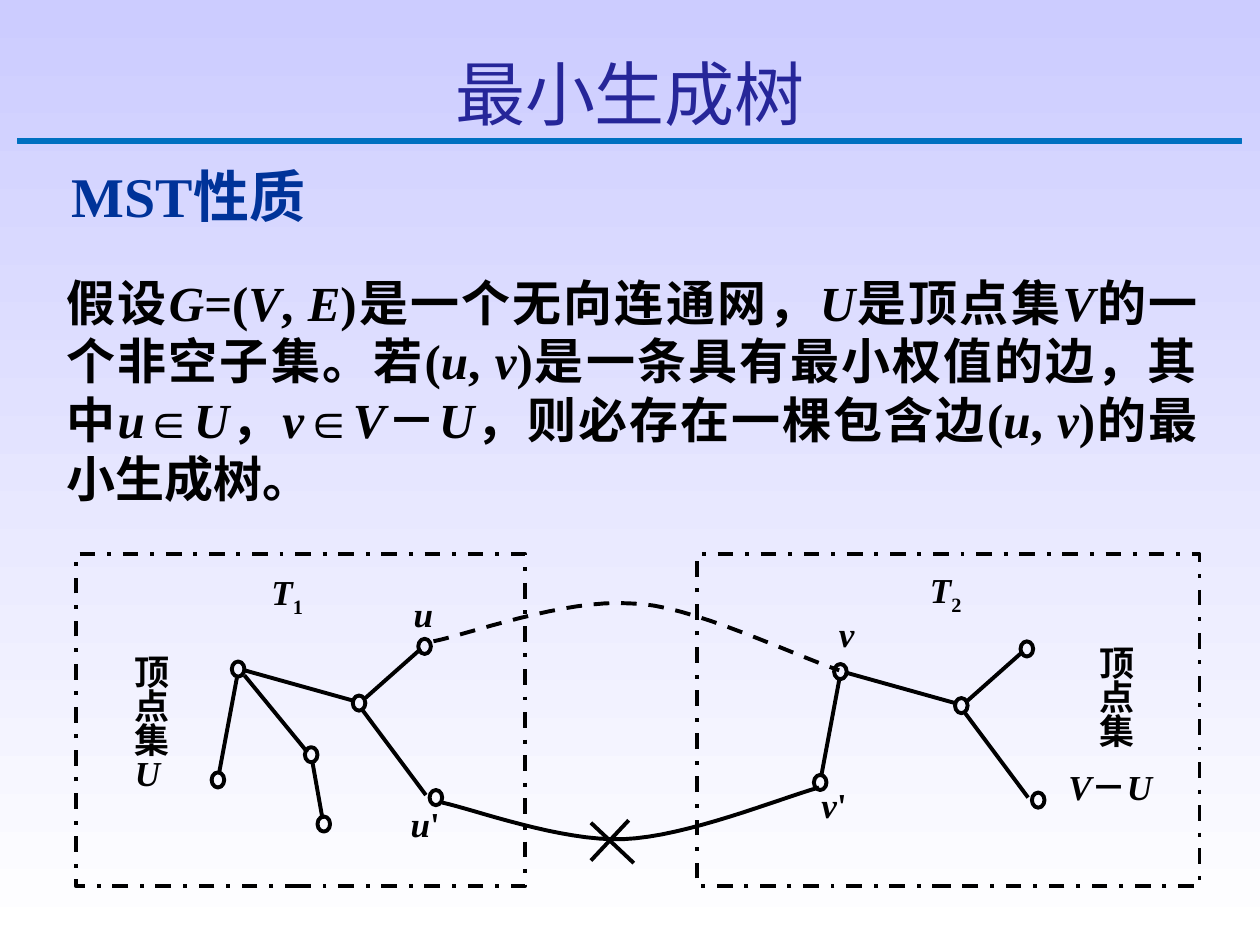
from dataclasses import dataclass, field

from lxml import etree
from pptx import Presentation
from pptx.dml.color import RGBColor
from pptx.enum import dml, shapes, text
from pptx.oxml import ns
from pptx.util import Inches, Pt

BLACK = RGBColor(0x00, 0x00, 0x00)
WHITE = RGBColor(0xFF, 0xFF, 0xFF)
LAVENDER = RGBColor(0xCC, 0xCC, 0xFF)
RULE_BLUE = RGBColor(0x00, 0x70, 0xC0)
HEADING_BLUE = RGBColor(0x00, 0x33, 0x99)
TITLE_BLUE = RGBColor(0x26, 0x26, 0x99)

SERIF, CJK = "Times New Roman", "Noto Sans CJK SC"
LEFT, CENTER, JUSTIFY = (text.PP_ALIGN.LEFT, text.PP_ALIGN.CENTER,
                         text.PP_ALIGN.JUSTIFY)
NODE_W, NODE_H = 0.1, 0.12
TREE_DX, TREE_DY = 4.78, 0.02  # shift from tree T1 to tree T2

Point = tuple[float, float]
Box = tuple[float, float, float, float]


@dataclass
class Label:
    """Text where *...* is italic and a part starting with _ is subscript."""
    content: str
    box: Box
    size: float = 20
    color: RGBColor = BLACK
    align: text.PP_ALIGN = CENTER
    spacing: float = 0.72
    insets: Point = (0, 0)
    fmt: dict = field(default_factory=lambda: {"name": SERIF, "bold": True})


@dataclass
class Curve:
    start: Point
    beziers: list[tuple[Point, Point, Point]]
    dash: dml.MSO_LINE = dml.MSO_LINE.SOLID


def style_line(s, dash=dml.MSO_LINE.SOLID) -> None:
    for k, v in {"width": Pt(2.25), "dash_style": dash}.items():
        setattr(s.line, k, v)
    s.line.color.rgb = BLACK


def add_label(s, label: Label) -> None:
    tf = s.shapes.add_textbox(*map(Inches, label.box)).text_frame
    dx, dy = map(Inches, label.insets)
    frame = {"word_wrap": True, "margin_left": dx, "margin_right": dx,
             "margin_top": dy, "margin_bottom": dy}
    for k, v in frame.items():
        setattr(tf, k, v)
    p = tf.paragraphs[0]
    p.alignment, p.line_spacing = label.align, label.spacing
    for i, part in enumerate(label.content.split("*")):
        if not part:
            continue
        r = p.add_run()
        r.text = part.lstrip("_")
        fmt = {**label.fmt, "size": Pt(label.size), "italic": i % 2 == 1}
        for k, v in fmt.items():
            setattr(r.font, k, v)
        r.font.color.rgb = label.color
        props = r._r.get_or_add_rPr()
        if part.startswith("_"):
            props.set("baseline", "-25000")
        etree.SubElement(props, ns.qn("a:ea")).set("typeface", CJK)


def add_outline(s, kind: shapes.MSO_SHAPE, box: Box,
                dash=dml.MSO_LINE.SOLID) -> None:
    sp = s.shapes.add_shape(kind, *map(Inches, box))
    sp.shadow.inherit = False
    sp.fill.background()
    style_line(sp, dash)


def add_edge(s, start: Point, end: Point) -> None:
    c = s.shapes.add_connector(shapes.MSO_CONNECTOR.STRAIGHT,
                               *map(Inches, start + end))
    style_line(c)
    etree.SubElement(c._element.spPr, ns.qn("a:effectLst"))


def add_curve(s, curve: Curve, steps: int = 16) -> None:
    points, p0 = [], curve.start
    for p1, p2, p3 in curve.beziers:
        for t in (n / steps for n in range(1, steps + 1)):
            w = ((1 - t) ** 3, 3 * t * (1 - t) ** 2, 3 * t * t * (1 - t), t ** 3)
            points.append(tuple(
                Inches(sum(a * b for a, b in zip(w, axis)))
                for axis in zip(p0, p1, p2, p3)))
        p0 = p3
    builder = s.shapes.build_freeform(*map(Inches, curve.start))
    builder.add_line_segments(points, close=False)
    sp = builder.convert_to_shape()
    sp.shadow.inherit = False
    sp.fill.background()
    style_line(sp, curve.dash)


def add_tree(s, nodes: list[Point], edges: list[tuple[Point, Point]],
             dx: float = 0, dy: float = 0) -> None:
    for (x1, y1), (x2, y2) in edges:
        add_edge(s, (x1 + dx, y1 + dy), (x2 + dx, y2 + dy))
    for x, y in nodes:
        add_outline(s, shapes.MSO_SHAPE.OVAL, (x + dx, y + dy, NODE_W, NODE_H))


# Shared part of both trees: node corners and edges
COMMON_NODES = [(3.32, 5.07), (3.41, 6.27), (2.8, 5.52), (1.68, 6.13), (1.84, 5.25)]
COMMON_EDGES = [((3.34, 5.15), (2.9, 5.54)), ((2.88, 5.64), (3.38, 6.31)),
                ((1.88, 5.38), (1.74, 6.13)), ((1.94, 5.32), (2.8, 5.56))]
# Extra branch of T1
BRANCH_NODES = [(2.42, 5.93), (2.52, 6.48)]
BRANCH_EDGES = [((1.94, 5.36), (2.44, 5.97)), ((2.48, 6.05), (2.56, 6.5))]

VERTEX_SETS = [(5.53, 4.4, 3.99, 2.63), (0.6, 4.4, 3.57, 2.63)]
CROSS = [((4.69, 6.53), (5.03, 6.85)), ((4.99, 6.51), (4.69, 6.83))]
CURVES = [
    Curve((3.51, 6.37), [((3.75, 6.42), (4.45, 6.68), (4.95, 6.66)),
                         ((5.45, 6.64), (6.18, 6.34), (6.5, 6.25))]),
    Curve((3.44, 5.09), [((3.7, 5.04), (4.48, 4.75), (5.01, 4.79)),
                         ((5.46, 4.79), (6.32, 5.21), (6.66, 5.32))],
          dml.MSO_LINE.DASH),
]

STATEMENT = ("假设*G*=(*V*, *E*)是一个无向连通网，*U*是顶点集*V*的一个非空子集。"
             "若(*u*, *v*)是一条具有最小权值的边，其中*u*∈*U*，*v*∈*V*－*U*，"
             "则必存在一棵包含边(*u*, *v*)的最小生成树。")
PAD, THIN = (0.1, 0.05), (0, 0.01)
LABELS = [
    Label("最小生成树", (0, 0.35, 10, 0.77), 40, TITLE_BLUE, CENTER, 1, PAD,
          {"name": CJK, "bold": False}),
    Label("MST性质", (0.47, 1.23, 3.08, 0.64), 32, HEADING_BLUE, LEFT, 1, PAD),
    Label(STATEMENT, (0.43, 2.11, 9.17, 1.97), 28, BLACK, JUSTIFY, 1, PAD),
    Label("顶点集*U*", (1.07, 5.22, 0.34, 1.09), align=JUSTIFY, spacing=0.8,
          insets=THIN),
    Label("顶点集", (8.73, 5.16, 0.28, 0.84), align=JUSTIFY, spacing=0.8),
    Label("*V*－*U*", (8.48, 6.05, 1.06, 0.34), align=JUSTIFY, spacing=1.04,
          insets=THIN),
    Label("*u*", (3.22, 4.79, 0.28, 0.25)),
    Label("*u*'", (3.23, 6.48, 0.29, 0.21), spacing=0.64),
    Label("*v*", (6.57, 4.95, 0.3, 0.23)),
    Label("*v*'", (6.45, 6.3, 0.34, 0.25)),
    Label("*T*_1", (1.99, 4.59, 0.58, 0.25)),
    Label("*T*_2", (7.22, 4.57, 0.57, 0.25)),
]


def main() -> None:
    prs = Presentation()
    prs.slide_width, prs.slide_height = Inches(10), Inches(7.5)
    s = prs.slides.add_slide(prs.slide_layouts[6])

    # Background and title rule
    fill = s.background.fill
    fill.gradient()
    fill.gradient_angle = 270
    for stop, color in zip(fill.gradient_stops, (LAVENDER, WHITE)):
        stop.color.rgb = color
    rule = s.shapes.add_shape(shapes.MSO_SHAPE.RECTANGLE,
                              *map(Inches, (0.14, 1.1, 9.71, 0.04)))
    rule.shadow.inherit = False
    rule.fill.solid()
    rule.fill.fore_color.rgb = rule.line.color.rgb = RULE_BLUE
    rule.line.width = Pt(0.25)

    # Vertex sets and their trees
    for box in VERTEX_SETS:
        add_outline(s, shapes.MSO_SHAPE.RECTANGLE, box, dml.MSO_LINE.DASH_DOT)
    add_tree(s, COMMON_NODES + BRANCH_NODES, COMMON_EDGES + BRANCH_EDGES)
    add_tree(s, COMMON_NODES, COMMON_EDGES, TREE_DX, TREE_DY)

    # Edges between the sets, one crossed out
    for curve in CURVES:
        add_curve(s, curve)
    for start, end in CROSS:
        add_edge(s, start, end)

    # Title, statement and diagram labels
    for label in LABELS:
        add_label(s, label)
    prs.save("out.pptx")


if __name__ == "__main__":
    main()
